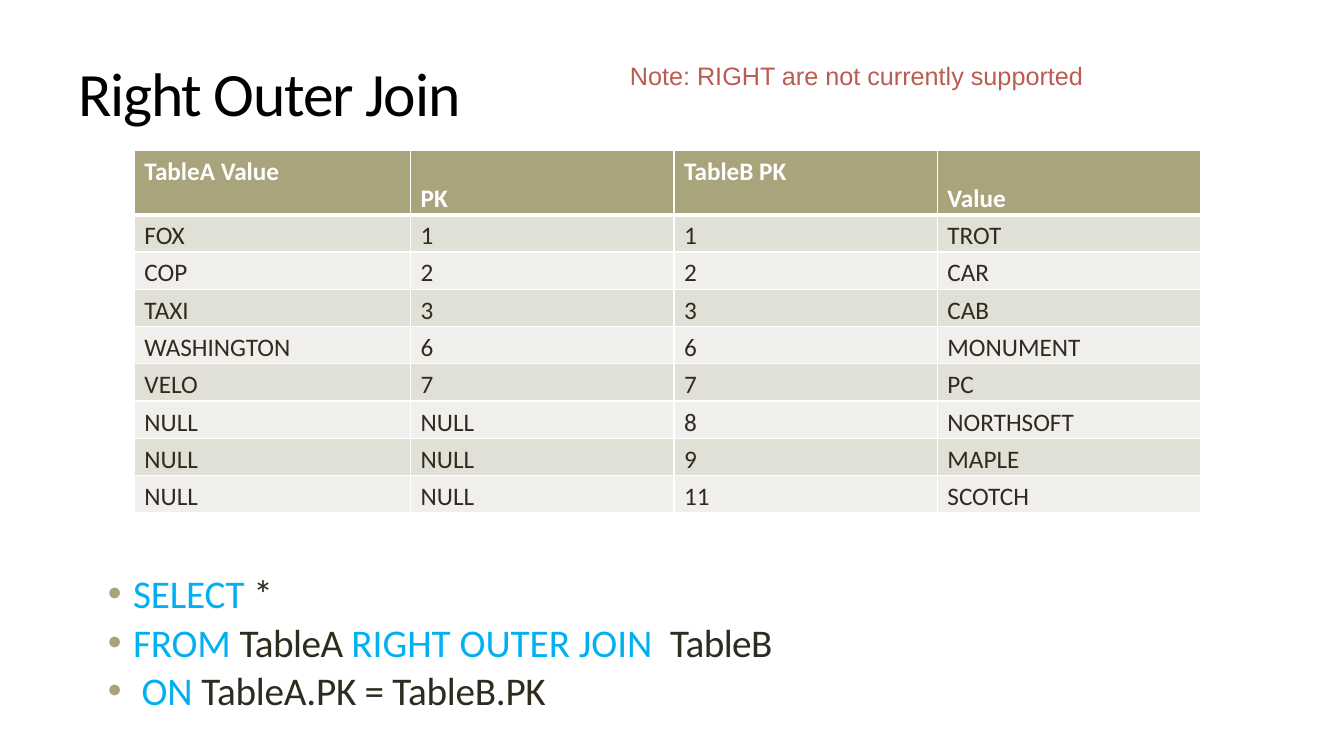
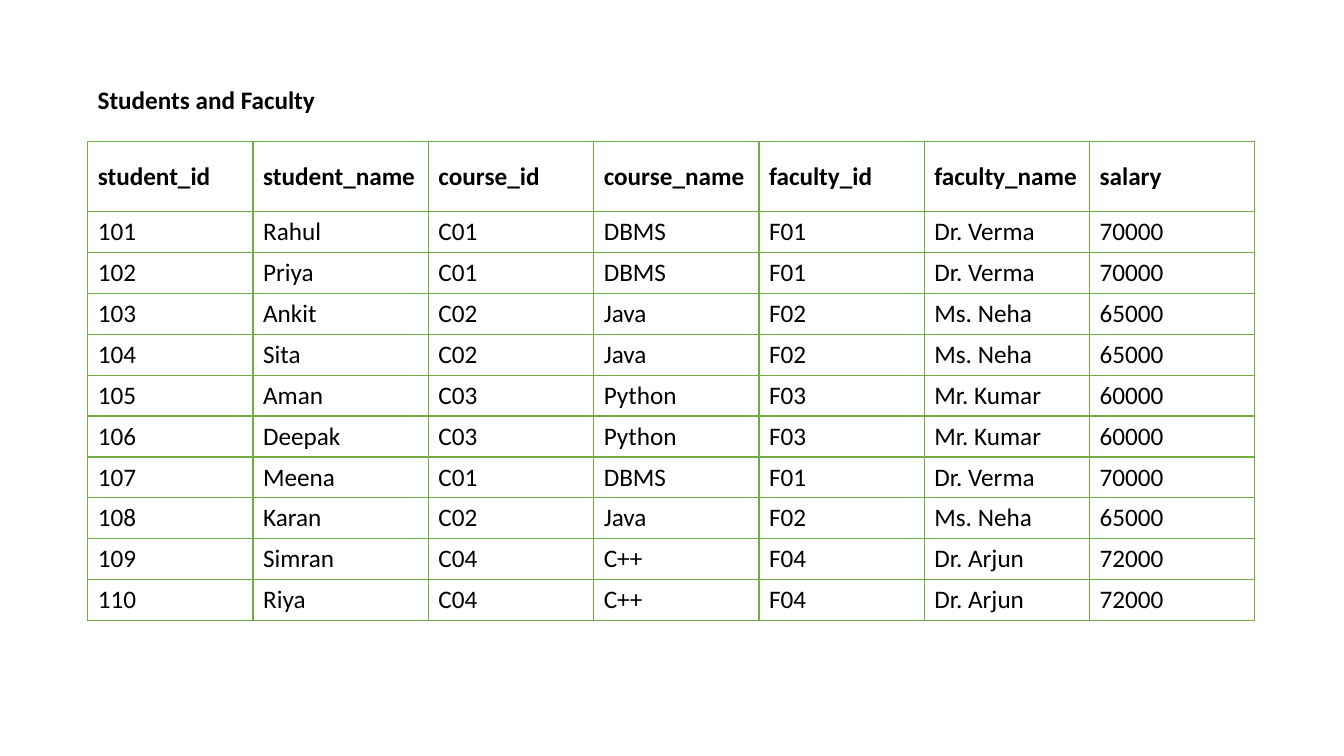
import pptx
import pptx.dml.color
import pptx.enum.text
import pptx.oxml
import pptx.util
from lxml import etree
from pptx.oxml.ns import qn

COLORS = {
    "black": "000000", "white": "FFFFFF", "ink": "2E2B1F", "keyword": "00B0F0",
    "note": "BC5B4F", "olive": "A9A47B", "band_dark": "E1E0D6",
    "band_light": "F0EFEB", "green": "70AD47",
}
FONT = "Calibri"
TOP = pptx.enum.text.MSO_ANCHOR.TOP
MIDDLE = pptx.enum.text.MSO_ANCHOR.MIDDLE
BOTTOM = pptx.enum.text.MSO_ANCHOR.BOTTOM

prs = pptx.Presentation()
prs.slide_width = pptx.util.Inches(13.333)
prs.slide_height = pptx.util.Inches(7.5)

# Positions are counted on a grid of 100 columns by 100 rows.
COL = prs.slide_width / 100
ROW = prs.slide_height / 100


def add_text(s, box, lines, size, font=FONT, bold=False, anchor=TOP,
             inset=(0.1, 0.05), bullet=None):
    """Add a text box; each line is a list of (text, colour, letter spacing)."""
    x, y, w, h = box
    sp = s.shapes.add_textbox(int(x * COL), int(y * ROW), int(w * COL), int(h * ROW))
    tf = sp.text_frame
    tf.word_wrap = True
    tf.vertical_anchor = anchor
    tf.margin_left = tf.margin_right = pptx.util.Inches(inset[0])
    tf.margin_top = tf.margin_bottom = pptx.util.Inches(inset[1])
    for i, line in enumerate(lines):
        p = tf.add_paragraph() if i else tf.paragraphs[0]
        if i:
            p.space_before = pptx.util.Pt(1)
        if bullet:
            pPr = p._p.get_or_add_pPr()
            pPr.set("marL", str(pptx.util.Inches(0.26)))
            pPr.set("indent", str(pptx.util.Inches(-0.25)))
            color = etree.SubElement(pPr, qn("a:buClr"))
            etree.SubElement(color, qn("a:srgbClr"), val=COLORS[bullet])
            etree.SubElement(pPr, qn("a:buFont"), typeface="Arial")
            etree.SubElement(pPr, qn("a:buChar"), char="•")
        for text, color, spacing in line:
            r = p.add_run()
            r.text = text
            r.font.size = pptx.util.Pt(size)
            r.font.name = font
            r.font.bold = bold
            r.font.color.rgb = pptx.dml.color.RGBColor.from_string(COLORS[color])
            r._r.get_or_add_rPr().set("spc", str(round(spacing * 100)))


def add_table(s, corner, col_widths, row_heights, data, border, header_color,
              body_color, header_fill=None, bands=None, header_rule=1,
              anchor=MIDDLE, margin_top=0.05, margin_bottom=0.05):
    """Add a table with a bold header row and a border round every cell."""
    x, y = corner
    frame = s.shapes.add_table(len(data), len(col_widths), int(x * COL), int(y * ROW),
                               int(sum(col_widths) * COL), int(sum(row_heights) * ROW))
    table = frame.table
    table.horz_banding = False
    for column, width in zip(table.columns, col_widths):
        column.width = int(width * COL)
    for i, (row, height, values) in enumerate(zip(table.rows, row_heights, data)):
        row.height = int(height * ROW)
        fill = bands[(i - 1) % len(bands)] if i and bands else header_fill
        for cell, value in zip(row.cells, values):
            cell.vertical_anchor = anchor
            cell.margin_left = cell.margin_right = pptx.util.Inches(0.1)
            cell.margin_top = pptx.util.Inches(margin_top)
            cell.margin_bottom = pptx.util.Inches(margin_bottom)
            cell.text_frame.text = value
            font = cell.text_frame.paragraphs[0].runs[0].font
            font.size = pptx.util.Pt(18)
            font.name = FONT
            font.bold = i == 0
            font.color.rgb = pptx.dml.color.RGBColor.from_string(
                COLORS[body_color if i else header_color])
            tcPr = cell._tc.get_or_add_tcPr()
            for side in ("lnL", "lnR", "lnT", "lnB"):
                on_rule = (i, side) in ((0, "lnB"), (1, "lnT"))
                ln = etree.SubElement(tcPr, qn("a:" + side), w=str(
                    pptx.util.Pt(header_rule if on_rule else 1)))
                solid = etree.SubElement(ln, qn("a:solidFill"))
                etree.SubElement(solid, qn("a:srgbClr"), val=COLORS[border])
            if fill:
                cell.fill.solid()
                cell.fill.fore_color.rgb = pptx.dml.color.RGBColor.from_string(COLORS[fill])
            else:
                cell.fill.background()
    return table


# Right outer join
s = prs.slides.add_slide(prs.slide_layouts[6])
add_text(s, (5.85, 7.07, 41.85, 10.13), [[("Right Outer Join", "black", -0.9)]], 44,
         anchor=MIDDLE, inset=(0, 0.01))
query = [
    [("SELECT ", "keyword", -0.1), ("*", "ink", 0)],
    [("FROM ", "keyword", -0.1), ("TableA ", "ink", -0.4),
     ("RIGHT OUTER JOIN  ", "keyword", 0), ("TableB", "ink", -0.4)],
    [(" ON ", "keyword", -0.1), ("TableA.PK = TableB.PK", "ink", -0.2)],
]
add_text(s, (7.95, 75.07, 71.25, 19.2), query, 28, inset=(0, 0.02), bullet="olive")
join_rows = [
    ("TableA Value", "PK", "TableB PK", "Value"),
    ("FOX", "1", "1", "TROT"),
    ("COP", "2", "2", "CAR"),
    ("TAXI", "3", "3", "CAB"),
    ("WASHINGTON", "6", "6", "MONUMENT"),
    ("VELO", "7", "7", "PC"),
    ("NULL", "NULL", "8", "NORTHSOFT"),
    ("NULL", "NULL", "9", "MAPLE"),
    ("NULL", "NULL", "11", "SCOTCH"),
]
table = add_table(s, (10, 19.87), [20.55] + [19.6] * 3, [8.53] + [4.93] * 8, join_rows,
                  border="white", header_color="white", body_color="ink",
                  header_fill="olive", bands=("band_dark", "band_light"),
                  header_rule=3, anchor=TOP, margin_top=0.06, margin_bottom=0)
for column in (1, 3):
    table.cell(0, column).vertical_anchor = BOTTOM
add_text(s, (46.13, 7.33, 50, 5.33),
         [[("Note: RIGHT are not currently supported", "note", 0)]], 18, font="Arial")

# Students and faculty
s = prs.slides.add_slide(prs.slide_layouts[6])
courses = {
    "C01": ("DBMS", "F01", "Dr. Verma", "70000"),
    "C02": ("Java", "F02", "Ms. Neha", "65000"),
    "C03": ("Python", "F03", "Mr. Kumar", "60000"),
    "C04": ("C++", "F04", "Dr. Arjun", "72000"),
}
students = [
    ("Rahul", "C01"), ("Priya", "C01"), ("Ankit", "C02"), ("Sita", "C02"),
    ("Aman", "C03"), ("Deepak", "C03"), ("Meena", "C01"), ("Karan", "C02"),
    ("Simran", "C04"), ("Riya", "C04"),
]
student_rows = [("student_id", "student_name", "course_id", "course_name",
                 "faculty_id", "faculty_name", "salary")]
for number, (name, course) in enumerate(students, start=101):
    student_rows.append((str(number), name, course) + courses[course])
add_table(s, (6.53, 18.67), [12.3, 13.05] + [12.3] * 5, [9.33] + [5.41] * 10,
          student_rows, border="green", header_color="black", body_color="black")
add_text(s, (6.53, 10.53, 34.2, 5.33),
         [[("Students and Faculty", "black", 0)]], 18, bold=True)

prs.save("out.pptx")
